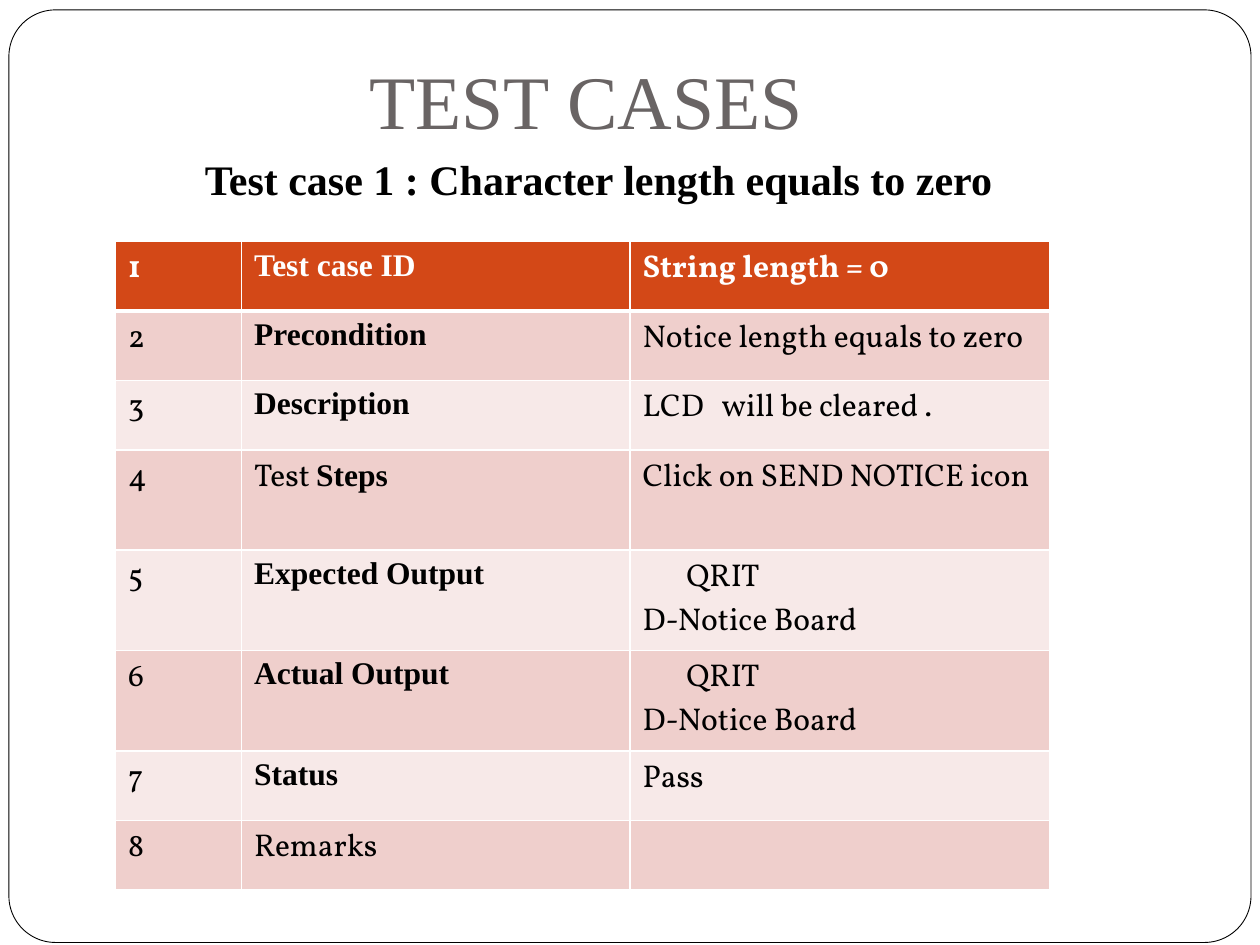
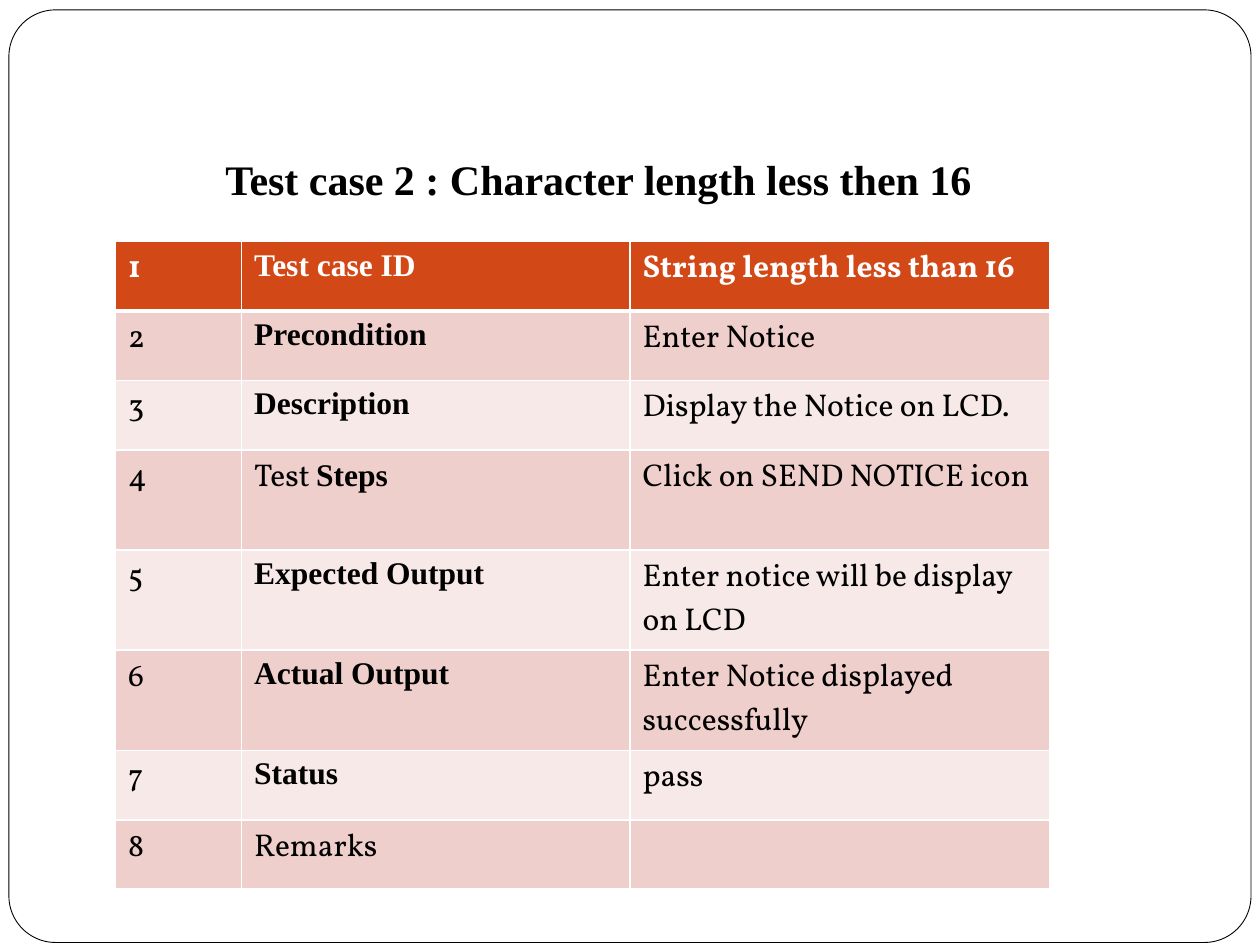
from lxml import etree
from pptx import Presentation
from pptx.dml.color import RGBColor
from pptx.enum import shapes, text
from pptx.oxml.ns import qn
from pptx.util import Cm, Pt

TITLE = "TEST CASES"
# Row labels as (plain part, bold part)
LABELS = [
    ("", "Test case ID"),
    ("", "Precondition"),
    ("", "Description"),
    ("Test ", "Steps"),
    ("", "Expected Output"),
    ("", "Actual Output"),
    ("", "Status"),
    ("Remarks", ""),
]
BOARD = ["QRIT", "D-Notice Board"]
TEST_CASES = [
    ("Test case 1 : Character length equals to zero", [
        ["String length = 0"],
        ["Notice length equals to zero"],
        ["LCD   will be cleared ."],
        ["Click on SEND NOTICE icon"],
        BOARD,
        BOARD,
        ["Pass"],
        [],
    ]),
    ("Test case 2 : Character length less then 16", [
        ["String length less than 16"],
        ["Enter Notice"],
        ["Display the Notice on LCD."],
        ["Click on SEND NOTICE icon"],
        ["Enter notice will be display on LCD"],
        ["Enter Notice displayed successfully"],
        ["pass"],
        [],
    ]),
]

SERIF, BODY = "Times New Roman", "Vollkorn"
WHITE, BLACK, GREY = "FFFFFF", "000000", "696464"
HEADER, BANDS = "D34817", ("F7E9E8", "EFCFCC")
COLUMNS = [Cm(2.54), Cm(7.83), Cm(8.47)]
ROW, TALL_ROW = Cm(1.4), Cm(2.02)
TALL_ROWS = (3, 4, 5)
TITLE_LAYOUT, BLANK_LAYOUT = 5, 6


def rgb(value):
    return RGBColor.from_string(value)


def set_font(font, name, size, color, bold=False):
    font.name, font.size, font.bold = name, Pt(size), bold
    font.color.rgb = rgb(color)


def indent(p, left):
    pPr = p._p.get_or_add_pPr()
    pPr.set("marL", str(left))
    pPr.set("indent", "0")


def add_master_frame(prs, s):
    """Draw the rounded frame on a slide, then move it behind the master's parts."""
    sp = s.shapes.add_shape(shapes.MSO_SHAPE.ROUNDED_RECTANGLE,
                            Cm(0.18), Cm(0.2), Cm(25.04), Cm(18.8))
    sp.adjustments[0] = 0.05
    sp.shadow.inherit = False
    sp.fill.solid()
    sp.fill.fore_color.rgb = rgb(WHITE)
    sp.line.color.rgb = rgb(BLACK)
    sp.line.width = Pt(0.5)
    sp.element.nvSpPr.cNvPr.set("id", "99")
    prs.slide_master.shapes.element.insert(2, sp.element)


def add_title(s):
    sp = s.shapes.title
    sp.left, sp.top, sp.width, sp.height = Cm(2.11), Cm(1.27), Cm(20.96), Cm(1.9)
    tf = sp.text_frame
    tf.text = TITLE
    tf.auto_size = text.MSO_AUTO_SIZE.NONE
    tf.vertical_anchor = text.MSO_ANCHOR.BOTTOM
    tf.margin_bottom = Cm(0.25)
    p = tf.paragraphs[0]
    p.alignment = text.PP_ALIGN.LEFT
    indent(p, Cm(5.08))
    set_font(p.font, SERIF, 43.2, GREY)


def add_heading(s, heading):
    tf = s.shapes.add_textbox(Cm(2.97), Cm(2.97), Cm(18.2), Cm(1.27)).text_frame
    tf.word_wrap = True
    tf.text = heading
    p = tf.paragraphs[0]
    p.alignment = text.PP_ALIGN.CENTER
    set_font(p.font, SERIF, 24, BLACK, True)


def set_borders(cell, row):
    widths = {"L": 1, "R": 1, "T": 3 if row == 1 else 1, "B": 3 if row == 0 else 1}
    tcPr = cell._tc.get_or_add_tcPr()
    for side, width in widths.items():
        ln = etree.SubElement(tcPr, qn(f"a:ln{side}"), w=str(Pt(width)))
        fill = etree.SubElement(ln, qn("a:solidFill"))
        etree.SubElement(fill, qn("a:srgbClr"), val=WHITE)


def fill_label(p, plain, bold, color):
    for part, font, is_bold in ((plain, BODY, False), (bold, SERIF, True)):
        if part:
            r = p.add_run()
            r.text = part
            set_font(r.font, font, 18, color, is_bold)


def fill_lines(cell, lines, color, bold):
    cell.text = "\n".join(lines)
    for p in cell.text_frame.paragraphs:
        set_font(p.font, BODY, 18, color, bold)
    if lines is BOARD:
        indent(cell.text_frame.paragraphs[0], Cm(0.88))


def add_case_table(s, results):
    heights = [TALL_ROW if i in TALL_ROWS else ROW for i in range(len(LABELS))]
    table = s.shapes.add_table(len(LABELS), len(COLUMNS), Cm(2.33), Cm(4.87),
                               sum(COLUMNS), sum(heights)).table
    for column, width in zip(table.columns, COLUMNS):
        column.width = width
    for i, (label, lines) in enumerate(zip(LABELS, results)):
        table.rows[i].height = heights[i]
        is_header = i == 0
        color = WHITE if is_header else BLACK
        cells = [table.cell(i, j) for j in range(len(COLUMNS))]
        for cell in cells:
            set_borders(cell, i)
            cell.fill.solid()
            cell.fill.fore_color.rgb = rgb(HEADER if is_header else BANDS[i % 2])
        number_cell, label_cell, result_cell = cells
        fill_lines(number_cell, [str(i + 1)], color, is_header)
        fill_label(label_cell.text_frame.paragraphs[0], *label, color)
        fill_lines(result_cell, lines, color, is_header)


def main():
    prs = Presentation()
    prs.slide_width, prs.slide_height = Cm(25.4), Cm(19.05)
    for i, (heading, results) in enumerate(TEST_CASES):
        layout = BLANK_LAYOUT if i else TITLE_LAYOUT
        s = prs.slides.add_slide(prs.slide_layouts[layout])
        if i == 0:
            add_master_frame(prs, s)
            add_title(s)
        add_case_table(s, results)
        add_heading(s, heading)
    prs.save("out.pptx")


if __name__ == "__main__":
    main()
